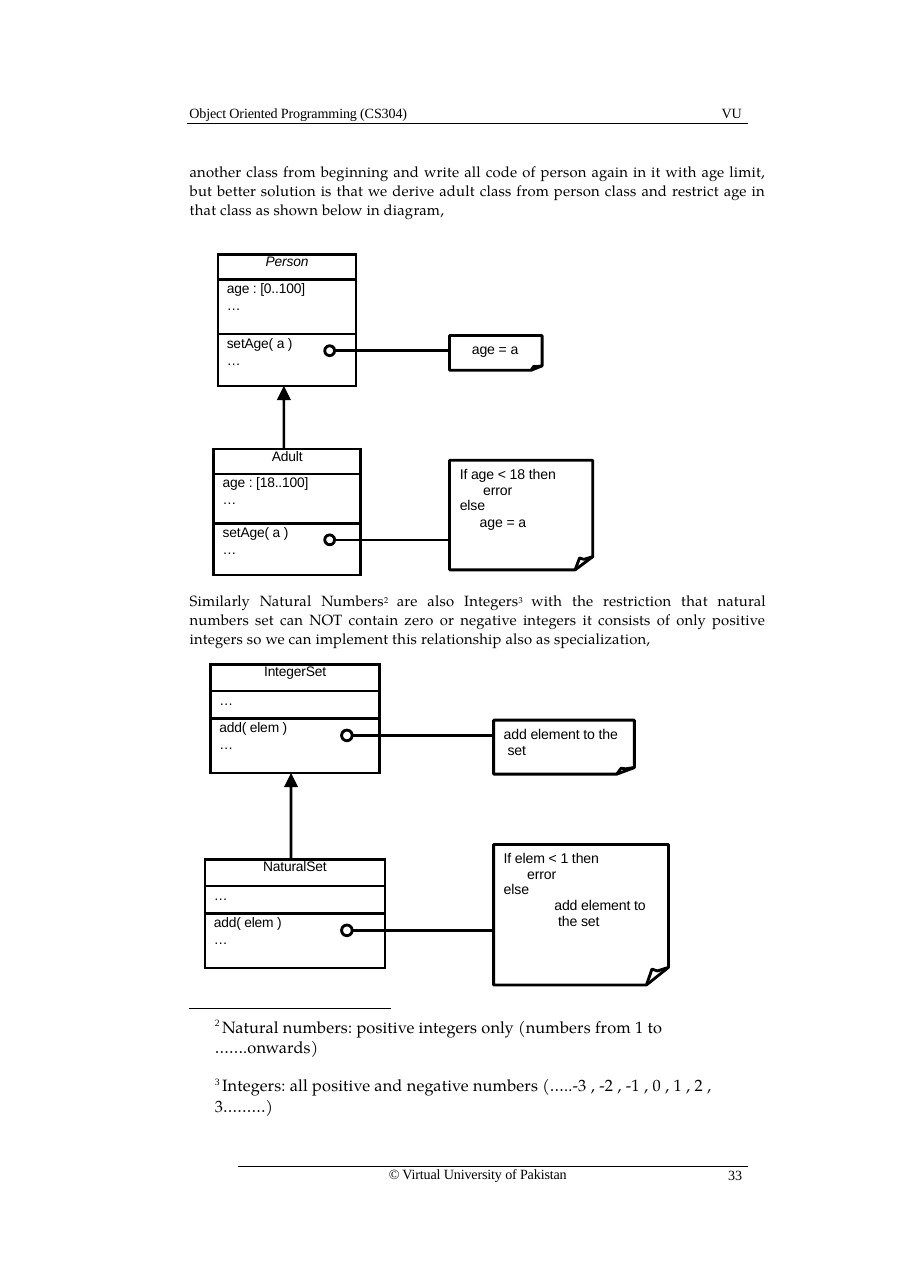
import pptx
import pptx.dml.color
import pptx.enum.shapes
import pptx.enum.text
import pptx.oxml.ns
import pptx.util
from lxml import etree

Pt = pptx.util.Pt
qn = pptx.oxml.ns.qn
ALIGN = pptx.enum.text.PP_ALIGN
PRESET = pptx.enum.shapes.MSO_SHAPE
BLACK = "000000"
STROKE = 1.88

# Run styles: font, size, letter spacing, raised by percent
PAGE = ("Times New Roman", 9.2, -0.1, 0)
BODY = ("TeX Gyre Pagella", 9.7, 0.1, 0)
RAISED = ("TeX Gyre Pagella", 9.5, 0.1, 21)
FOOTNOTE = ("TeX Gyre Pagella", 10.7, 0.1, 0)
FOOTNOTE_MARK = ("Times New Roman", 10.9, 0, 37)
LABEL = ("Arial", 9, -0.1, 0)
CODE = ("Arial", 9.2, -0.1, 0)

# Header and footer: text, left, top, width
PAGE_TEXTS = [
    ("Object Oriented Programming (CS304)", 123.8, 68.4, 160),
    ("VU", 471.6, 68.4, 20),
    ("© Virtual University of Pakistan", 254.1, 761.8, 130),
    ("33", 475.9, 762.5, 16),
]
# Horizontal rules: left, right, height on page, weight
RULES = [(122.4, 488.9, 80.6, 0.66), (155.5, 488.9, 762.2, 0.66), (123.8, 255.6, 659.2, 0.6)]

INTRO = [("another class from beginning and write all code of person again in it with age limit, "
          "but better solution is that we derive adult class from person class and restrict age in "
          "that class as shown below in diagram,", BODY)]
NUMBERS = [
    ("Similarly Natural Numbers", BODY), ("2 ", RAISED), ("are also Integers", BODY), ("3 ", RAISED),
    ("with the restriction that natural numbers set can NOT contain zero or negative integers it "
     "consists of only positive integers so we can implement this relationship also as "
     "specialization,", BODY),
]
# Footnotes: runs, space before, line spacing
FOOTNOTES = [
    ([("2 ", FOOTNOTE_MARK),
      ("Natural numbers: positive integers only (numbers from 1 to", FOOTNOTE)], 0, 1.0),
    ([("…….onwards)", FOOTNOTE)], 0.8, 1.0),
    ([("3 ", FOOTNOTE_MARK),
      ("Integers: all positive and negative numbers (…..-3 , -2 , -1 , 0 , 1 , 2 , 3………)",
       FOOTNOTE)], 11, 1.06),
]

# Classes: left, top, pin edge, right, note edge, row heights, circle size
CLASSES = {
    "Person": (142.4, 166.2, 218.2, 232.8, 293.8, (16.3, 35.9, 10.8, 23), 6.5),
    "Adult": (139.7, 293.4, 218.2, 235.8, 293.8, (16.3, 32.3, 10.8, 23), 6.5),
    "IntegerSet": (137.5, 434.2, 229.7, 248.2, 322.6, (17.5, 18, 10.9, 24.6), 7),
    "NaturalSet": (133.9, 561.6, 229.7, 251.5, 322.6, (17.5, 18, 10.9, 24.5), 7),
}
MEMBERS = {
    "Person": (["age : [0..100]", "…"], ["setAge( a )", "…"]),
    "Adult": (["age : [18..100]", "…"], ["setAge( a )", "…"]),
    "IntegerSet": (["…"], ["add( elem )", "…"]),
    "NaturalSet": (["…"], ["add( elem )", "…"]),
}
# Inheritance arrows: child, parent, centre line
ARROWS = [("Adult", "Person", 185.5), ("NaturalSet", "IntegerSet", 190.2)]
ARROW_WIDTH, SHAFT_WIDTH = 9.2, 1.7

# Notes: box, fold size, text inset, lines (text, left indent, first-line indent, line spacing)
NOTES = [
    ((293.8, 219.3, 60.5, 22.7), (7.2, 2.9), 14.6, [("age = a", 0, 0, 10.6)]),
    ((293.8, 300.8, 93.6, 71.6), (11.5, 8.6), 6,
     [("If age < 18 then\nerror", 16, -15.3, 10.6), ("else", 0.7, 0, 9.9), ("age = a", 13.7, 0, 10.7)]),
    ((322.6, 470.6, 92, 35.3), (11.5, 4.3), 5.9, [("add element to the\nset", 3.2, -2.5, 10.5)]),
    ((322.6, 551.9, 114.3, 91.8), (14.4, 11.5), 5.9,
     [("If elem < 1 then\nerror", 16, -15.3, 10.5), ("else", 0.7, 0, 10),
      ("add element to\nthe set", 36.3, -2.5, 10.4)]),
]
FOLD_CURVE = [(0.25, 0.1), (0.37, 0.15), (0.5, 0.2), (0.75, 0.1), (1, 0)]

# Cell sides that carry a line, row by row
CELL_SIDES = [("LRTB", "RTB", "LB"), ("LRTB", "RTB", "L"), ("LTB", "RTB", "LB"), ("LB", "RTB", "LT")]
# Merged cells: first and last, as row and column
MERGES = [((0, 0), (0, 1)), ((1, 0), (1, 1)), ((2, 0), (3, 0)), ((0, 2), (2, 2))]


def color(value):
    return pptx.dml.color.RGBColor.from_string(value)


def add_runs(paragraph, runs, italic=False):
    for text, (font, size, spacing, raised) in runs:
        for index, part in enumerate(text.split("\n")):
            if index:
                paragraph.add_line_break()
            run = paragraph.add_run()
            run.text = part
            run.font.name, run.font.size, run.font.italic = font, Pt(size), italic
            run.font.color.rgb = color(BLACK)
            properties = run.font._element
            properties.set("spc", str(round(spacing * 100)))
            if raised:
                properties.set("baseline", str(raised * 1000))


def fill_frame(frame, paragraphs, align=ALIGN.LEFT, italic=False):
    """Each paragraph: runs, left indent, first-line indent, line spacing, space before."""
    for index, (runs, left, first, spacing, before) in enumerate(paragraphs):
        paragraph = frame.add_paragraph() if index else frame.paragraphs[0]
        paragraph.alignment, paragraph.line_spacing = align, spacing
        if before:
            paragraph.space_before = Pt(before)
        properties = paragraph._p.get_or_add_pPr()
        properties.set("marL", str(Pt(left)))
        properties.set("indent", str(Pt(first)))
        add_runs(paragraph, runs, italic)


def add_text(left, top, width, height, paragraphs, align=ALIGN.LEFT):
    frame = slide.shapes.add_textbox(Pt(left), Pt(top), Pt(width), Pt(height)).text_frame
    frame.word_wrap = True
    frame.margin_left = frame.margin_right = frame.margin_top = frame.margin_bottom = 0
    fill_frame(frame, paragraphs, align)


def add_rule(left, right, level, weight):
    rule = slide.shapes.add_connector(pptx.enum.shapes.MSO_CONNECTOR.STRAIGHT,
                                      Pt(left), Pt(level), Pt(right), Pt(level))
    rule.line.color.rgb, rule.line.width = color(BLACK), Pt(weight)
    etree.SubElement(rule._element.spPr, qn("a:effectLst"))


def add_arrow(child, parent, center):
    top = CLASSES[parent][1] + sum(CLASSES[parent][5])
    arrow = slide.shapes.add_shape(PRESET.UP_ARROW, Pt(center - ARROW_WIDTH / 2), Pt(top),
                                   Pt(ARROW_WIDTH), Pt(CLASSES[child][1] - top))
    arrow.adjustments[0], arrow.adjustments[1] = SHAFT_WIDTH / ARROW_WIDTH, 1
    arrow.shadow.inherit = False
    arrow.fill.solid()
    arrow.fill.fore_color.rgb = color(BLACK)
    arrow.line.fill.background()


def outline(shape):
    shape.shadow.inherit = False
    shape.fill.background()
    shape.line.color.rgb, shape.line.width = color(BLACK), Pt(STROKE)


def add_path(points, close):
    points = [(Pt(x), Pt(y)) for x, y in points]
    builder = slide.shapes.build_freeform(*points[0], scale=1.0)
    builder.add_line_segments(points[1:], close=close)
    outline(builder.convert_to_shape())


def add_note(box, fold, inset, lines):
    left, top, width, height = box
    fold_width, fold_height = fold
    right, bottom = left + width, top + height
    fold_left, fold_top = right - fold_width, bottom - fold_height
    add_path([(left, top), (left, bottom), (fold_left, bottom), (right, fold_top), (right, top)], True)
    add_path([(fold_left, bottom)] + [(fold_left + fold_width * x, fold_top + fold_height * y)
                                      for x, y in FOLD_CURVE], False)
    add_text(left + inset, top + 3.8, width - inset - 6, height - 8,
             [([(text, CODE)], indent, first, Pt(spacing), 0) for text, indent, first, spacing in lines])


def set_borders(cell, sides):
    properties = cell._tc.get_or_add_tcPr()
    for side in "LRTB":
        border = etree.SubElement(properties, qn("a:ln" + side), w=str(Pt(STROKE)))
        if side in sides:
            solid = etree.SubElement(border, qn("a:solidFill"))
            etree.SubElement(solid, qn("a:srgbClr"), val=BLACK)
        else:
            etree.SubElement(border, qn("a:noFill"))
    cell.fill.background()


def add_class(name):
    left, top, pin, right, note, heights, size = CLASSES[name]
    frame = slide.shapes.add_table(4, 3, Pt(left), Pt(top), Pt(note - left), Pt(sum(heights)))
    table = frame.table
    table.first_row = table.horz_banding = False
    for column, width in zip(table.columns, (pin - left, right - pin, note - right)):
        column.width = Pt(width)
    for row, height, sides in zip(table.rows, heights, CELL_SIDES):
        row.height = Pt(height)
        for cell, cell_sides in zip(row.cells, sides):
            cell.margin_left = cell.margin_right = cell.margin_top = cell.margin_bottom = 0
            set_borders(cell, cell_sides)
    for first, last in MERGES:
        table.cell(*first).merge(table.cell(*last))
    fill_frame(table.cell(0, 0).text_frame, [([(name, LABEL)], 0, 0, 1.0, 0)],
               ALIGN.CENTER, name == "Person")
    for row, members in zip((1, 2), MEMBERS[name]):
        fill_frame(table.cell(row, 0).text_frame,
                   [([(text, LABEL)], 5.8, 0, Pt(11.1), 0) for text in members])
    for cell in table.iter_cells():
        if not cell.text_frame.text:
            etree.SubElement(cell.text_frame.paragraphs[0]._p, qn("a:endParaRPr"), sz="100")
    # Circle where the method's line starts
    middle = top + sum(heights[:3])
    outline(slide.shapes.add_shape(PRESET.OVAL, Pt(pin + 0.5 - size), Pt(middle - size / 2),
                                   Pt(size), Pt(size)))


presentation = pptx.Presentation()
presentation.slide_width, presentation.slide_height = Pt(594.72), Pt(841.68)
slide = presentation.slides.add_slide(presentation.slide_layouts[6])

# Header, footer and rules
for text, left, top, width in PAGE_TEXTS:
    add_text(left, top, width, 11.5, [([(text, PAGE)], 0, 0, 1.0, 0)])
for rule in RULES:
    add_rule(*rule)

# Running text and footnotes
for top, runs in ((105.7, INTRO), (385.9, NUMBERS)):
    add_text(124, top, 377, 38.2, [(runs, 0, 0, 1.07, 0)], ALIGN.JUSTIFY)
add_text(140.4, 664.2, 331, 64.8,
         [(runs, 0, 0, spacing, before) for runs, before, spacing in FOOTNOTES])

# Class diagrams
for arrow in ARROWS:
    add_arrow(*arrow)
for note in NOTES:
    add_note(*note)
for name in CLASSES:
    add_class(name)

presentation.save("out.pptx")
